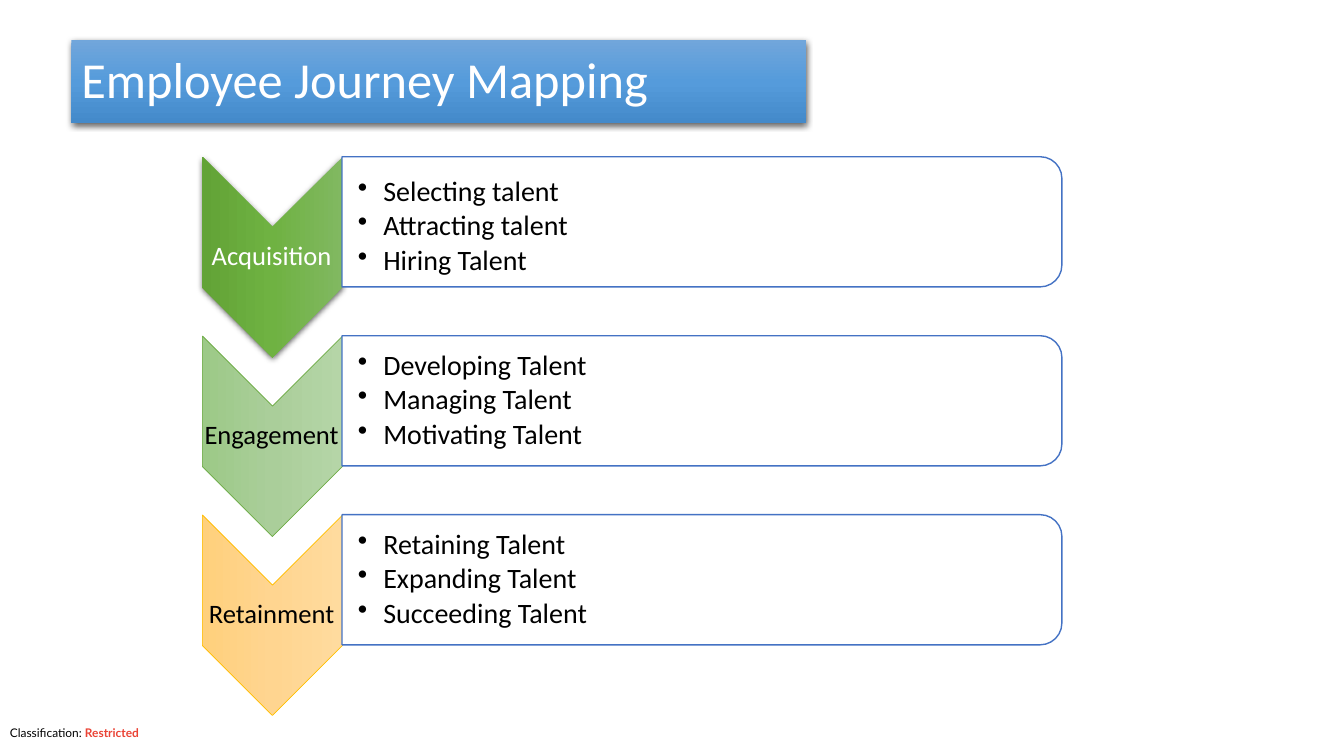
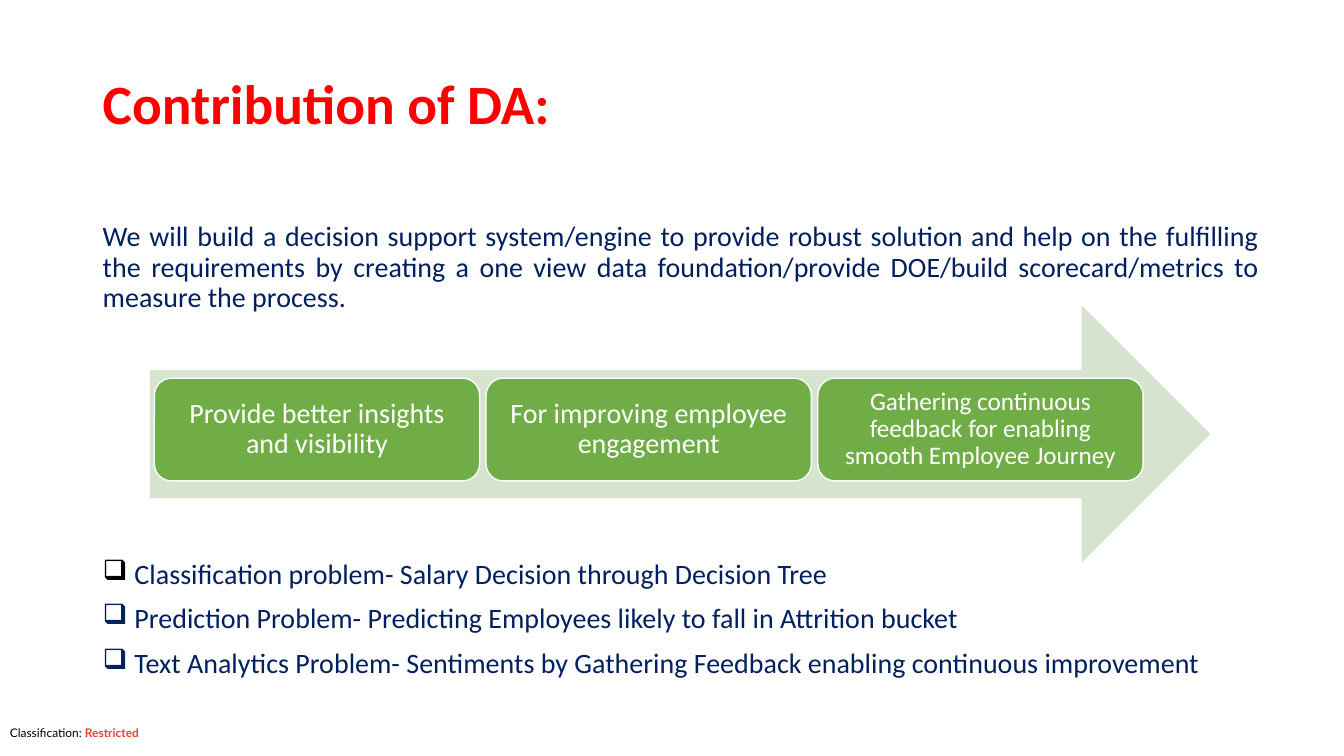
import copy
import pptx
import pptx.util
import pptx.dml.color
import pptx.enum.shapes
import pptx.enum.text
import pptx.oxml
from pptx.oxml.ns import nsdecls, qn

Cm = pptx.util.Cm
Pt = pptx.util.Pt
RGB = pptx.dml.color.RGBColor.from_string
MSO = pptx.enum.shapes.MSO_SHAPE
ALIGN = pptx.enum.text.PP_ALIGN
ANCHOR = pptx.enum.text.MSO_ANCHOR

COLORS = {
    "white": "FFFFFF", "black": "000000", "red": "FF0000", "navy": "002060",
    "restricted": "EA4335", "outline": "4472C4", "green": "70AD47",
    "gold": "FFC000", "arrow": "D5E3CF",
}
GRADIENTS = {
    "title": ["71A6DB", "559BDB", "448ACA"],
    "acquisition": ["81B861", "6FB242", "62A336"],
    "engagement": ["B5D5A7", "AACE9A", "9CC987"],
    "retainment": ["FFDB9E", "FFD590", "FFD07C"],
}


def add_box(s, kind, box, fill=None, line=None, width=1, rotation=0, shadow=False):
    box = [Cm(v) for v in box]
    if kind is None:
        return s.shapes.add_textbox(*box)
    sp = s.shapes.add_shape(kind, *box)
    sp.rotation = rotation
    sp.shadow.inherit = False
    if fill in GRADIENTS:
        sp.fill.gradient()
        sp.fill.gradient_angle = 270
        stops = sp._element.spPr.find(qn("a:gradFill")).find(qn("a:gsLst"))
        stops.insert(1, copy.deepcopy(stops[0]))
        for i, stop in enumerate(sp.fill.gradient_stops):
            stop.position = i / 2
            stop.color.rgb = RGB(GRADIENTS[fill][i])
    else:
        sp.fill.solid()
        sp.fill.fore_color.rgb = RGB(COLORS[fill])
    if line:
        sp.line.color.rgb = RGB(COLORS[line])
        sp.line.width = Pt(width)
    else:
        sp.line.fill.background()
    if shadow:
        sp._element.spPr.find(qn("a:effectLst")).append(pptx.oxml.parse_xml(
            f'<a:outerShdw {nsdecls("a")} blurRad="57150" dist="19050" dir="5400000" '
            'algn="ctr" rotWithShape="0"><a:srgbClr val="000000">'
            '<a:alpha val="63000"/></a:srgbClr></a:outerShdw>'))
    return sp


def add_text(sp, paragraphs, size, font="Calibri", align=ALIGN.LEFT, anchor=ANCHOR.MIDDLE,
             inset=None, spacing=0.9, before=0, after=0, bullets=None, indent=0):
    tf = sp.text_frame
    tf.word_wrap = True
    tf.vertical_anchor = anchor
    if inset:
        tf.margin_left = Cm(inset[0])
        tf.margin_top = tf.margin_right = tf.margin_bottom = Cm(inset[1])
    for i, runs in enumerate(paragraphs):
        p = tf.add_paragraph() if i else tf.paragraphs[0]
        p.alignment = align
        p.line_spacing = spacing
        p.space_before = Pt(before)
        p.space_after = Pt(after)
        if bullets:
            char, colors = bullets
            pPr = p._p.get_or_add_pPr()
            pPr.set("marL", str(Cm(indent)))
            pPr.set("indent", str(-Cm(indent)))
            pPr.append(pptx.oxml.parse_xml(
                f'<a:buClr {nsdecls("a")}><a:srgbClr val="{COLORS[colors[i]]}"/></a:buClr>'))
            pPr.append(pptx.oxml.parse_xml(f'<a:buChar {nsdecls("a")} char="{char}"/>'))
        for text, color, bold in runs:
            r = p.add_run()
            r.text = text
            r.font.name = font
            r.font.size = Pt(size)
            r.font.bold = bold
            r.font.color.rgb = RGB(COLORS[color])


prs = pptx.Presentation()
prs.slide_width = Cm(33.87)
prs.slide_height = Cm(19.05)
journey, contribution = [prs.slides.add_slide(prs.slide_layouts[6]) for _ in range(2)]

for s in (journey, contribution):
    footer = [("Classification: ", "black", False), ("Restricted", "restricted", True)]
    add_text(add_box(s, None, (0, 18.16, 33.87, 0.61)), [footer], 8.5, font="Lato",
             anchor=ANCHOR.TOP, spacing=1.0)

sp = add_box(journey, MSO.RECTANGLE, (1.8, 1.02, 18.52, 2.08), "title", shadow=True)
add_text(sp, [[("Employee Journey Mapping", "white", False)]], 36)

stages = [
    ("Acquisition", "white", None, 0.13,
     ["Selecting talent", "Attracting talent", "Hiring Talent"]),
    ("Engagement", "black", "green", 0,
     ["Developing Talent", "Managing Talent", "Motivating Talent"]),
    ("Retainment", "black", "gold", 0,
     ["Retaining Talent", "Expanding Talent", "Succeeding Talent"]),
]
for i, (name, color, line, drop, items) in enumerate(stages):
    y = 4.51 * i
    add_box(journey, MSO.CHEVRON, (4.34, 4.72 + y, 5.05, 3.53), name.lower(), line, 0.5,
            rotation=90, shadow=line is None)
    label = add_box(journey, None, (5.08, 5.72 + y, 3.53, 1.52))
    add_text(label, [[(name, color, False)]], 19, align=ALIGN.CENTER,
             inset=(0.03, 0.03), after=6.65)
    add_box(journey, MSO.ROUND_2_SAME_RECTANGLE, (16.05, -3.48 + y, 3.28, 18.14),
            "white", "outline", rotation=90)
    panel = add_box(journey, None, (8.61, 4.11 + y + drop, 17.98, 2.95))
    add_text(panel, [[(item, "black", False)] for item in items], 20, inset=(0.41, 0.03),
             after=3, bullets=("•", ["black"] * 3), indent=0.64)

sp = add_box(contribution, None, (2.34, 0.84, 29.21, 3.68))
add_text(sp, [[("Contribution of DA:", "red", True)]], 39.6)

intro = ("We will build a decision support system/engine to provide robust solution and help "
         "on the fulfilling the requirements by creating a one view data foundation/provide "
         "DOE/build scorecard/metrics to measure the process.")
sp = add_box(contribution, None, (2.34, 5.49, 29.64, 2.6))
add_text(sp, [[(intro, "navy", False)]], 20, align=ALIGN.JUSTIFY, anchor=ANCHOR.TOP)

problems = [
    "Classification problem- Salary Decision through Decision Tree",
    "Prediction Problem- Predicting Employees likely to fall in Attrition bucket",
    "Text Analytics Problem- Sentiments by Gathering Feedback enabling continuous improvement",
]
sp = add_box(contribution, None, (2.34, 14, 29.64, 3.58))
add_text(sp, [[(problem, "navy", False)] for problem in problems], 20, anchor=ANCHOR.TOP,
         before=10, bullets=("❑", ["black", "navy", "navy"]), indent=0.8)

add_box(contribution, MSO.RIGHT_ARROW, (3.78, 7.7, 26.72, 6.48), "arrow")
benefits = [
    ("Provide better insights and visibility", 20),
    ("For improving employee engagement", 20),
    ("Gathering continuous feedback for enabling smooth Employee Journey", 18),
]
for i, (benefit, size) in enumerate(benefits):
    sp = add_box(contribution, MSO.ROUNDED_RECTANGLE, (3.89 + 8.36 * i, 9.53, 8.2, 2.59),
                 "green", "white")
    add_text(sp, [[(benefit, "white", False)]], size, align=ALIGN.CENTER, inset=(0.2, 0.2))

prs.save("out.pptx")
